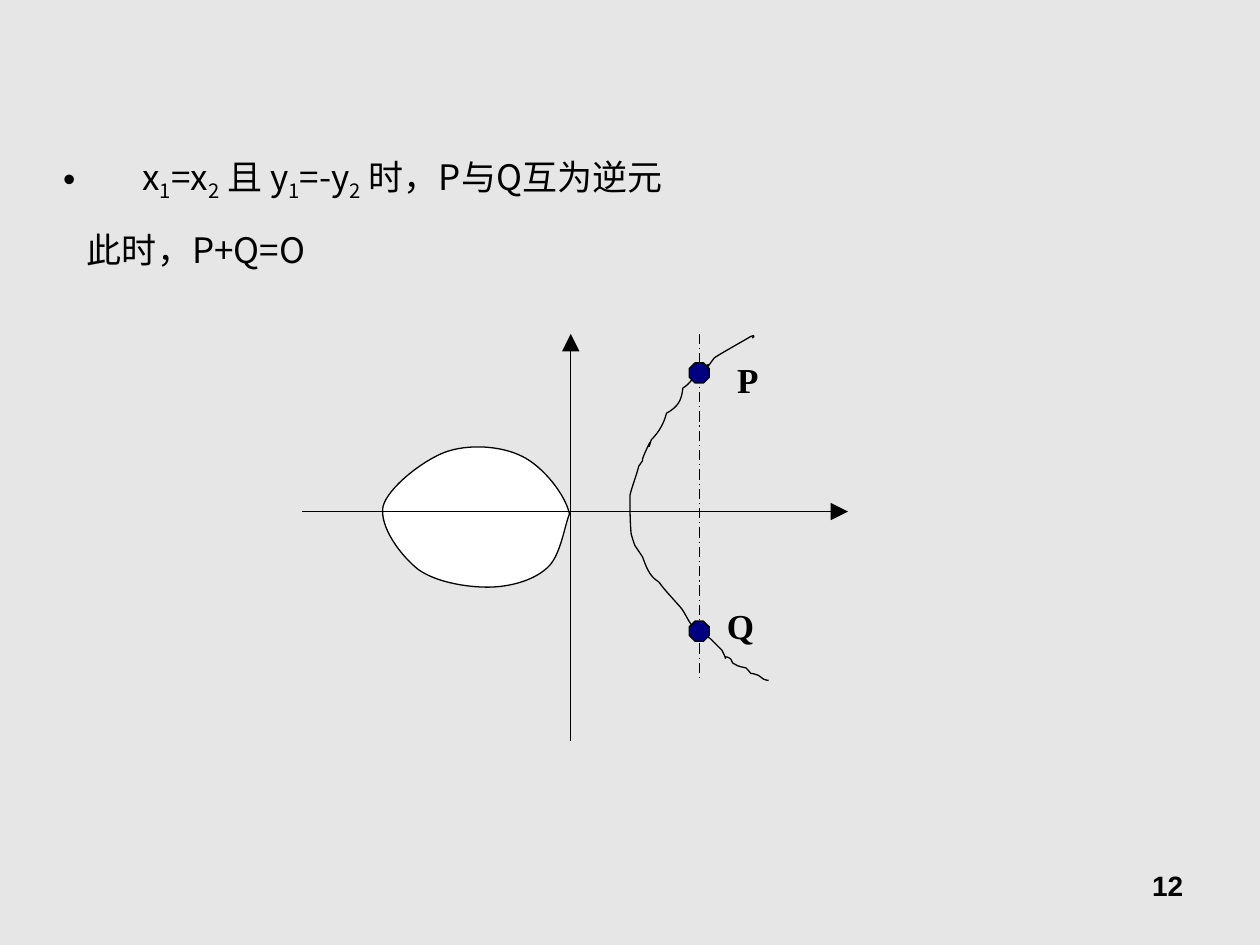
import pptx
import pptx.util
import pptx.dml.color
import pptx.enum.dml
import pptx.enum.shapes
import pptx.enum.text
import pptx.oxml
import pptx.oxml.ns
import lxml.etree

Inches, Pt = pptx.util.Inches, pptx.util.Pt
RGB = pptx.dml.color.RGBColor.from_string
ALIGN = pptx.enum.text.PP_ALIGN
qn = pptx.oxml.ns.qn
COLORS = {"bg": "E7E6E6", "ink": "000000", "loop": "FFFFFF", "point": "000080"}
CJK = "Noto Sans CJK SC"

prs = pptx.Presentation()
prs.slide_width, prs.slide_height = Inches(10), Inches(7.5)
s = prs.slides.add_slide(prs.slide_layouts[1])
s.background.fill.solid()
s.background.fill.fore_color.rgb = RGB(COLORS["bg"])
title = s.shapes.title
title._element.getparent().remove(title._element)


def add_run(p, text, **values):
    r = p.add_run()
    r.text = text
    for name, value in values.items():
        setattr(r.font, name, value)
    r.font.color.rgb = RGB(COLORS["ink"])
    return r


def add_curve(start, segments, closed):
    points = [(Inches(seg[i]), Inches(seg[i + 1])) for seg in segments for i in (0, 2, 4)]
    builder = s.shapes.build_freeform(Inches(start[0]), Inches(start[1]))
    builder.add_line_segments(points, close=closed)
    sp = builder.convert_to_shape()
    lines = list(sp._element.iter(qn("a:lnTo")))
    for i in range(0, len(segments) * 3, 3):
        bezier = lxml.etree.Element(qn("a:cubicBezTo"))
        lines[i].addprevious(bezier)
        for line in lines[i:i + 3]:
            bezier.append(line[0])
            line.getparent().remove(line)
    sp.shadow.inherit = False
    sp.line.color.rgb = RGB(COLORS["ink"])
    sp.line.width = Pt(0.75)
    return sp


body = s.placeholders[1]
body.left, body.top, body.width, body.height = Inches(0.39), Inches(1.02), Inches(9), Inches(1.17)
tf = body.text_frame
frame = {"margin_left": Inches(0.11), "margin_right": Inches(0.11), "margin_top": Inches(0.06),
         "margin_bottom": Inches(0.06), "word_wrap": True,
         "auto_size": pptx.enum.text.MSO_AUTO_SIZE.NONE,
         "vertical_anchor": pptx.enum.text.MSO_ANCHOR.TOP}
for name, value in frame.items():
    setattr(tf, name, value)

condition = [("x", 0), ("1", -25), ("=x", 0), ("2", -25), (" 且 y", 0), ("1", -25),
             ("=-y", 0), ("2", -25), (" 时，P与Q互为逆元", 0)]
result = [("此时，P+Q=O", 0)]
for i, (runs, margin, indent) in enumerate([(condition, 0.63, -0.63), (result, 0.19, 0)]):
    p = tf.paragraphs[0] if i == 0 else tf.add_paragraph()
    p.line_spacing = 1.4
    p.space_before = Pt(5 * i)
    pPr = p._p.get_or_add_pPr()
    pPr.set("marL", str(Inches(margin)))
    pPr.set("indent", str(Inches(indent)))
    if indent:
        color = lxml.etree.SubElement(pPr, qn("a:buClr"))
        lxml.etree.SubElement(color, qn("a:srgbClr")).set("val", COLORS["ink"])
        lxml.etree.SubElement(pPr, qn("a:buFont")).set("typeface", "Arial")
        lxml.etree.SubElement(pPr, qn("a:buChar")).set("char", "•")
    else:
        lxml.etree.SubElement(pPr, qn("a:buNone"))
    for text, baseline in runs:
        r = add_run(p, text, size=Pt(20), name=CJK)
        rPr = r._r.get_or_add_rPr()
        lxml.etree.SubElement(rPr, qn("a:ea")).set("typeface", CJK)
        if baseline:
            rPr.set("baseline", str(baseline * 1000))

loop = add_curve((4.52, 4.08), [
    (4.49, 3.93, 4.31, 3.7, 4.14, 3.62), (3.98, 3.54, 3.72, 3.52, 3.53, 3.59),
    (3.35, 3.66, 3.08, 3.87, 3.04, 4.02), (3.01, 4.18, 3.18, 4.41, 3.32, 4.52),
    (3.46, 4.62, 3.7, 4.66, 3.87, 4.66), (4.04, 4.66, 4.23, 4.61, 4.34, 4.51),
    (4.45, 4.42, 4.48, 4.17, 4.52, 4.08)], True)
loop.fill.solid()
loop.fill.fore_color.rgb = RGB(COLORS["loop"])

branch = add_curve((5.97, 2.68), [
    (5.97, 2.69, 6.01, 2.65, 5.96, 2.67), (5.91, 2.7, 5.73, 2.8, 5.67, 2.84),
    (5.55, 3, 5.7, 2.82, 5.57, 2.93), (5.51, 2.97, 5.49, 3.04, 5.42, 3.08),
    (5.41, 3.18, 5.38, 3.23, 5.29, 3.28), (5.27, 3.36, 5.23, 3.43, 5.17, 3.49),
    (5.12, 3.64, 5.2, 3.41, 5.13, 3.57), (5.06, 3.72, 5.14, 3.6, 5.07, 3.7),
    (5.05, 3.78, 5.02, 3.85, 5, 3.93), (5, 4.03, 5, 4.14, 5.01, 4.24),
    (5.02, 4.27, 5.03, 4.31, 5.04, 4.33), (5.06, 4.36, 5.1, 4.42, 5.1, 4.42),
    (5.13, 4.5, 5.15, 4.57, 5.23, 4.62), (5.28, 4.69, 5.35, 4.76, 5.41, 4.83),
    (5.46, 4.9, 5.48, 4.99, 5.57, 5.02), (5.65, 5.13, 5.54, 5, 5.64, 5.07),
    (5.67, 5.1, 5.73, 5.16, 5.73, 5.16), (5.8, 5.3, 5.71, 5.17, 5.8, 5.23),
    (5.81, 5.24, 5.81, 5.27, 5.83, 5.27), (5.85, 5.29, 5.92, 5.3, 5.92, 5.3),
    (6, 5.38, 5.91, 5.32, 6.02, 5.36), (6.03, 5.37, 6.05, 5.38, 6.06, 5.39),
    (6.08, 5.4, 6.1, 5.4, 6.1, 5.4)], False)
branch.fill.background()

for x1, y1, x2, y2, axis in [(2.4, 4.06, 6.73, 4.06, True), (4.53, 5.88, 4.53, 2.65, True),
                             (5.55, 2.65, 5.55, 5.4, False)]:
    line = s.shapes.add_connector(pptx.enum.shapes.MSO_CONNECTOR.STRAIGHT,
                                  Inches(x1), Inches(y1), Inches(x2), Inches(y2))
    line.line.color.rgb = RGB(COLORS["ink"])
    line.line.width = Pt(0.75)
    if axis:
        ln = line.line._get_or_add_ln()
        head = lxml.etree.SubElement(ln, qn("a:tailEnd"))
        for name, value in {"type": "triangle", "w": "lg", "len": "lg"}.items():
            head.set(name, value)
    else:
        line.line.dash_style = pptx.enum.dml.MSO_LINE.LONG_DASH_DOT
    lxml.etree.SubElement(line._element.spPr, qn("a:effectLst"))

for top in (2.88, 4.93):
    sp = s.shapes.add_shape(pptx.enum.shapes.MSO_SHAPE.OCTAGON,
                            Inches(5.47), Inches(top), Inches(0.16), Inches(0.16))
    sp.shadow.inherit = False
    sp.fill.solid()
    sp.fill.fore_color.rgb = RGB(COLORS["point"])
    sp.line.color.rgb = RGB(COLORS["ink"])
    sp.line.width = Pt(0.75)

for text, x, y, w, h, size, font, align, wrap in [
        ("P", 5.75, 2.8, 0.37, 0.44, 20, "Times New Roman", ALIGN.CENTER, False),
        ("Q", 5.67, 4.75, 0.41, 0.44, 20, "Times New Roman", ALIGN.CENTER, False),
        ("12", 7.17, 6.83, 2.33, 0.52, 16, "Arial", ALIGN.RIGHT, True)]:
    tf = s.shapes.add_textbox(Inches(x), Inches(y), Inches(w), Inches(h)).text_frame
    for name, value in frame.items():
        setattr(tf, name, value)
    if not wrap:
        tf.margin_left = tf.margin_right = Inches(0.1)
        tf.margin_top = tf.margin_bottom = Inches(0.05)
        tf.auto_size = pptx.enum.text.MSO_AUTO_SIZE.SHAPE_TO_FIT_TEXT
    tf.word_wrap = wrap
    p = tf.paragraphs[0]
    p.alignment = align
    add_run(p, text, size=Pt(size), name=font, bold=True)

prs.save("out.pptx")
